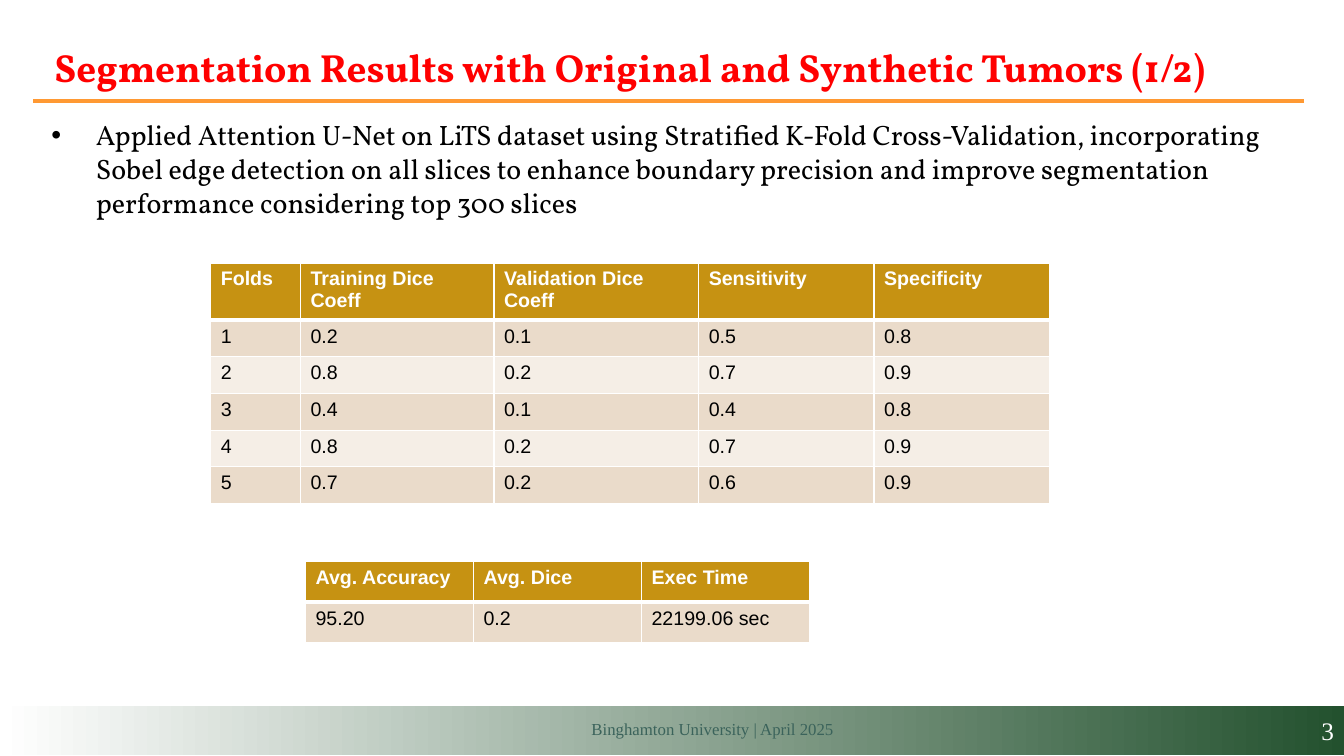
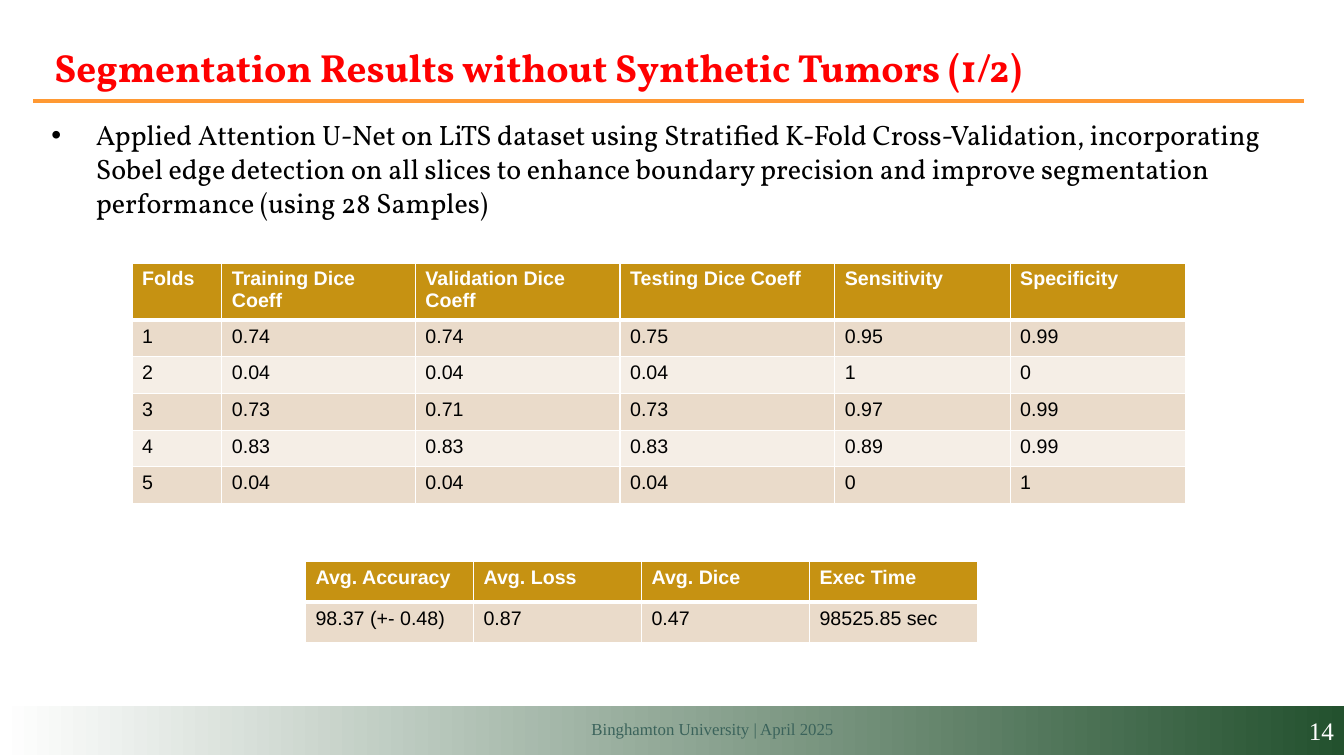
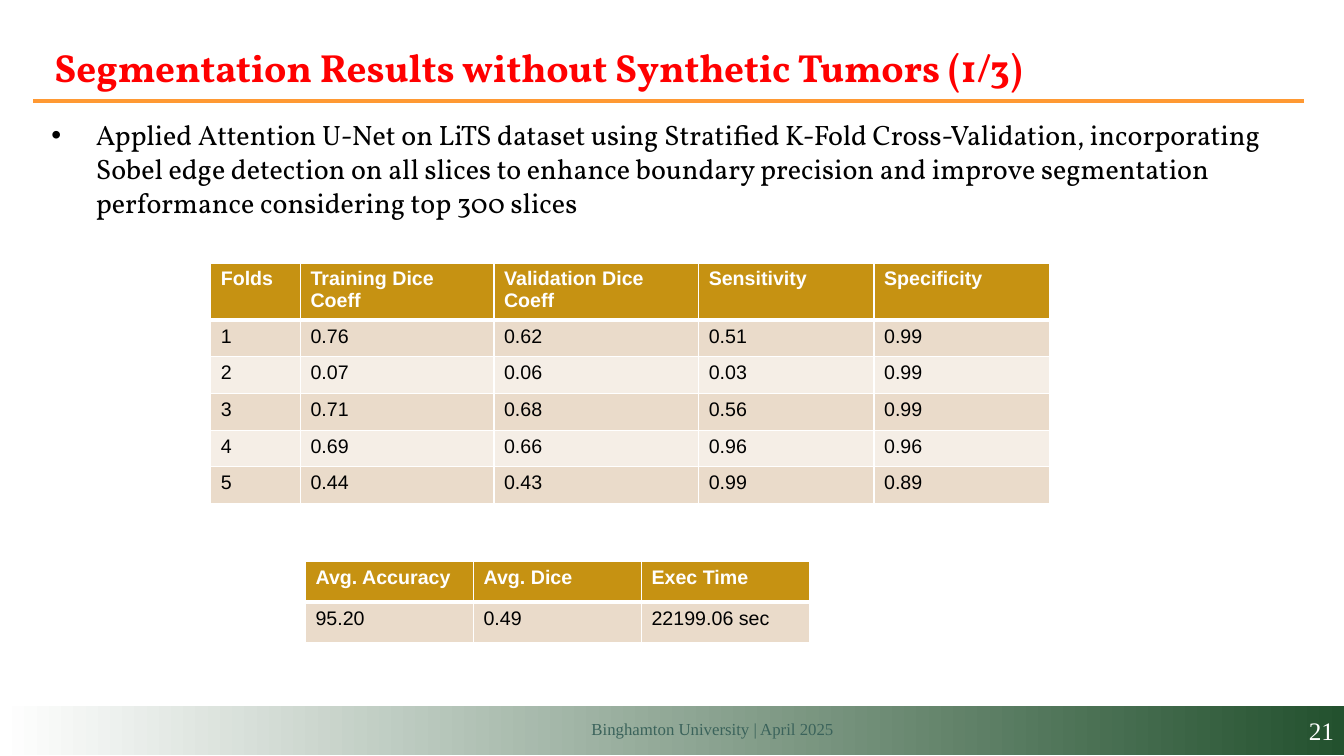
from dataclasses import dataclass

from lxml import etree
from pptx import Presentation
from pptx import util as u
from pptx.dml.color import RGBColor
from pptx.enum import shapes, text
from pptx.oxml import ns

SLIDE_WIDTH, SLIDE_HEIGHT = u.Inches(13.33), u.Inches(7.5)


@dataclass(frozen=True)
class Theme:
    white: str = "FFFFFF"
    ink: str = "000000"
    title: str = "FF0000"
    rule: str = "FF9933"
    band: str = "23512E"
    footer: str = "3B635B"
    header: str = "C69212"
    odd_row: str = "EADBCA"
    even_row: str = "F5EEE6"
    serif: str = "Vollkorn"
    footer_face: str = "Times New Roman"
    table_face: str = "Arial"
    title_size: int = 28
    body_size: int = 20
    number_size: int = 18
    table_size: int = 14
    footer_size: int = 12


THEME = Theme()
FOOTER = "Binghamton University | April 2025"
APPROACH = ("Applied Attention U-Net on LiTS dataset using Stratified K-Fold "
            "Cross-Validation, incorporating Sobel edge detection on all slices to "
            "enhance boundary precision and improve segmentation performance ")
FOLD_WIDTHS = {"Folds": 6.68, "Training Dice Coeff": 14.4,
               "Validation Dice Coeff": 15.23, "Testing Dice Coeff": 15.98,
               "Sensitivity": 13.05, "Specificity": 13.05}
FOLD_HEADINGS = [name for name in FOLD_WIDTHS if name != "Testing Dice Coeff"]
SUMMARY_HEADINGS = ["Avg. Accuracy", "Avg. Dice", "Exec Time"]

RESULTS = [
    dict(number=3, title="Segmentation Results with Original and Synthetic Tumors (1/2)",
         scope="considering top 300 slices", left=15.68,
         folds=[FOLD_HEADINGS,
                ["1", "0.2", "0.1", "0.5", "0.8"],
                ["2", "0.8", "0.2", "0.7", "0.9"],
                ["3", "0.4", "0.1", "0.4", "0.8"],
                ["4", "0.8", "0.2", "0.7", "0.9"],
                ["5", "0.7", "0.2", "0.6", "0.9"]],
         summary=[SUMMARY_HEADINGS, ["95.20", "0.2", "22199.06 sec"]]),
    dict(number=14, title="Segmentation Results without Synthetic Tumors (1/2)",
         scope="(using 28 Samples)", left=9.83,
         folds=[list(FOLD_WIDTHS),
                ["1", "0.74", "0.74", "0.75", "0.95", "0.99"],
                ["2", "0.04", "0.04", "0.04", "1", "0"],
                ["3", "0.73", "0.71", "0.73", "0.97", "0.99"],
                ["4", "0.83", "0.83", "0.83", "0.89", "0.99"],
                ["5", "0.04", "0.04", "0.04", "0", "1"]],
         summary=[["Avg. Accuracy", "Avg. Loss", "Avg. Dice", "Exec Time"],
                  ["98.37 (+- 0.48)", "0.87", "0.47", "98525.85 sec"]]),
    dict(number=21, title="Segmentation Results without Synthetic Tumors (1/3)",
         scope="considering top 300 slices", left=15.68,
         folds=[FOLD_HEADINGS,
                ["1", "0.76", "0.62", "0.51", "0.99"],
                ["2", "0.07", "0.06", "0.03", "0.99"],
                ["3", "0.71", "0.68", "0.56", "0.99"],
                ["4", "0.69", "0.66", "0.96", "0.96"],
                ["5", "0.44", "0.43", "0.99", "0.89"]],
         summary=[SUMMARY_HEADINGS, ["95.20", "0.49", "22199.06 sec"]]),
]


def across(percent):
    return u.Emu(round(SLIDE_WIDTH * percent / 100))


def down(percent):
    return u.Emu(round(SLIDE_HEIGHT * percent / 100))


def area(left, top, width, height):
    return across(left), down(top), across(width), down(height)


def rgb(color):
    return RGBColor.from_string(color)


def add_run(paragraph, words, face, size, color, bold=False):
    run = paragraph.add_run()
    run.text = words
    run.font.name, run.font.size, run.font.bold = face, u.Pt(size), bold
    run.font.color.rgb = rgb(color)


def place(holder, left, top, width, height):
    holder.left, holder.top, holder.width, holder.height = area(left, top, width, height)
    holder.text_frame.word_wrap = True
    holder.text_frame.auto_size = text.MSO_AUTO_SIZE.NONE
    return holder.text_frame


def add_title(slide, words):
    frame = place(slide.shapes.title, 3.3, 4.13, 92.95, 9.33)
    frame.vertical_anchor = text.MSO_ANCHOR.MIDDLE
    heading = frame.paragraphs[0]
    heading.alignment = text.PP_ALIGN.LEFT
    add_run(heading, words, THEME.serif, THEME.title_size, THEME.title, bold=True)


def add_bullet(slide, words):
    frame = place(slide.placeholders[1], 3.08, 14.93, 91.97, 70.8)
    point = frame.paragraphs[0]
    properties = point._p.get_or_add_pPr()
    properties.set("marL", str(u.Inches(0.44)))
    properties.set("indent", str(-u.Inches(0.44)))
    bullet_color = etree.SubElement(properties, ns.qn("a:buClr"))
    etree.SubElement(bullet_color, ns.qn("a:srgbClr"), val=THEME.ink)
    etree.SubElement(properties, ns.qn("a:buChar"), char="•")
    point.space_before, point.space_after = u.Pt(0), u.Pt(8)
    add_run(point, words, THEME.serif, THEME.body_size, THEME.ink)


def add_rule(slide):
    rule = slide.shapes.add_connector(shapes.MSO_CONNECTOR.STRAIGHT, across(2.48),
                                      down(13.33), across(97), down(13.33))
    rule.line.color.rgb = rgb(THEME.rule)
    rule.line.width = u.Pt(3)
    etree.SubElement(rule._element.spPr, ns.qn("a:effectLst"))


def add_footer(slide, number):
    band = slide.shapes.add_shape(shapes.MSO_SHAPE.RECTANGLE, *area(0, 93.33, 100, 6.53))
    band.shadow.inherit = False
    band.line.fill.background()
    band.fill.gradient()
    band.fill.gradient_angle = 0
    stops = zip(band.fill.gradient_stops, (0, 1), (THEME.white, THEME.band))
    for stop, position, color in stops:
        stop.position, stop.color.rgb = position, rgb(color)
    band.text_frame.vertical_anchor = text.MSO_ANCHOR.MIDDLE
    label = slide.shapes.add_textbox(*area(40.28, 94.4, 22.5, 4))
    label.text_frame.word_wrap = True
    label.text_frame.auto_size = text.MSO_AUTO_SIZE.SHAPE_TO_FIT_TEXT
    for holder, words, size, color in (
            (band, str(number), THEME.number_size, THEME.white),
            (label, FOOTER, THEME.footer_size, THEME.footer)):
        paragraph = holder.text_frame.paragraphs[0]
        paragraph.alignment = text.PP_ALIGN.RIGHT
        add_run(paragraph, words, THEME.footer_face, size, color)


def add_borders(cell, row):
    properties = cell._tc.get_or_add_tcPr()
    weights = {"L": 1, "R": 1, "T": 3 if row == 1 else 1, "B": 3 if row == 0 else 1}
    for side, points in weights.items():
        border = etree.SubElement(properties, ns.qn(f"a:ln{side}"), w=str(u.Pt(points)))
        fill = etree.SubElement(border, ns.qn("a:solidFill"))
        etree.SubElement(fill, ns.qn("a:srgbClr"), val=THEME.white)


def add_results_table(slide, rows, left, top, widths, heights):
    frame = slide.shapes.add_table(len(rows), len(widths),
                                   *area(left, top, sum(widths), sum(heights)))
    table = frame.table
    table.horz_banding = False
    for column, width in zip(table.columns, widths):
        column.width = across(width)
    for row, (values, height) in enumerate(zip(rows, heights)):
        table.rows[row].height = down(height)
        is_header = row == 0
        row_fill = THEME.odd_row if row % 2 else THEME.even_row
        for column, value in enumerate(values):
            cell = table.cell(row, column)
            add_borders(cell, row)
            cell.fill.solid()
            cell.fill.fore_color.rgb = rgb(THEME.header if is_header else row_fill)
            add_run(cell.text_frame.paragraphs[0], value, THEME.table_face,
                    THEME.table_size, THEME.white if is_header else THEME.ink, is_header)


def add_results_slide(deck, result):
    slide = deck.slides.add_slide(deck.slide_layouts[1])
    add_rule(slide)
    add_footer(slide, result["number"])
    add_title(slide, result["title"])
    add_bullet(slide, APPROACH + result["scope"])
    folds, summary = result["folds"], result["summary"]
    add_results_table(slide, folds, result["left"], 34.8,
                      [FOLD_WIDTHS[name] for name in folds[0]],
                      [6.8] + [4.85] * (len(folds) - 1))
    add_results_table(slide, summary, 22.73, 74.27,
                      [12.5] * len(summary[0]), [5.4] * len(summary))


def main():
    deck = Presentation()
    deck.slide_width, deck.slide_height = SLIDE_WIDTH, SLIDE_HEIGHT
    for result in RESULTS:
        add_results_slide(deck, result)
    deck.save("out.pptx")


if __name__ == "__main__":
    main()
